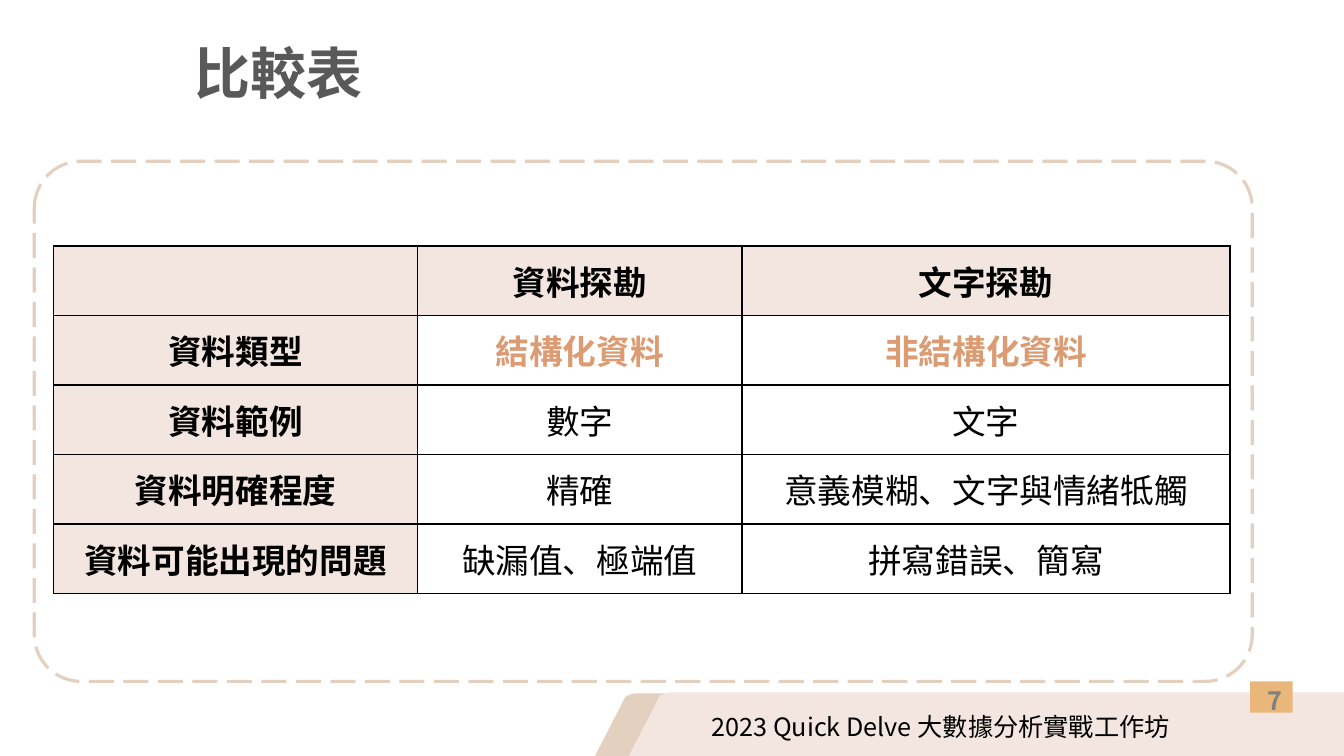
from lxml import etree
from pptx import Presentation
from pptx import util as u
from pptx.dml.color import RGBColor
from pptx.enum import dml, shapes, text
from pptx.oxml import ns

FONT = "Noto Sans CJK SC"
COLORS = {
    "sand": "E3D0BE", "blush": "F3E6E0", "amber": "E9B77A", "copper": "DB9C73",
    "gray": "808080", "charcoal": "595959", "black": "000000", "white": "FFFFFF",
}
COLUMN_WIDTHS = [3.61, 3.22, 4.84]
ROW_HEIGHT = 0.69
COMPARISON = [
    ["", "資料探勘", "文字探勘"],
    ["資料類型", "結構化資料", "非結構化資料"],
    ["資料範例", "數字", "文字"],
    ["資料明確程度", "精確", "意義模糊、文字與情緒牴觸"],
    ["資料可能出現的問題", "缺漏值、極端值", "拼寫錯誤、簡寫"],
]


def color(name):
    return RGBColor.from_string(COLORS[name])


def inches(lengths):
    return [u.Inches(length) for length in lengths]


def write(frame, words, size, ink="black", bold=False, align=None, spacing=None):
    paragraph = frame.paragraphs[0]
    paragraph.alignment = align
    paragraph.line_spacing = spacing
    run = paragraph.add_run()
    run.text = words
    run.font.size = u.Pt(size)
    run.font.bold = bold
    run.font.color.rgb = color(ink)
    run.font.name = FONT
    east_asian = etree.SubElement(run.font._element, ns.qn("a:ea"))
    east_asian.set("typeface", FONT)


def add_label(slide, box, words, size, wrap=True, grow=True, **style):
    frame = slide.shapes.add_textbox(*inches(box)).text_frame
    frame.word_wrap = wrap
    if grow:
        frame.auto_size = text.MSO_AUTO_SIZE.SHAPE_TO_FIT_TEXT
    else:
        frame.vertical_anchor = text.MSO_ANCHOR.MIDDLE
    write(frame, words, size, **style)


def add_block(slide, kind, box, fill=None, outline=None, adjustments=()):
    block = slide.shapes.add_shape(kind, *inches(box))
    block.shadow.inherit = False
    for index, value in enumerate(adjustments):
        block.adjustments[index] = value
    if fill:
        block.fill.solid()
        block.fill.fore_color.rgb = color(fill)
    else:
        block.fill.background()
    if outline:
        block.line.color.rgb = color(outline)
        block.line.width = u.Pt(2.25)
        block.line.dash_style = dml.MSO_LINE.LONG_DASH
    else:
        block.line.fill.background()


def add_footer_band(slide, fill, band, slant):
    kind = shapes.MSO_SHAPE
    add_block(slide, kind.ROUND_2_DIAG_RECTANGLE, band, fill, adjustments=(0.18, 0))
    add_block(slide, kind.ISOSCELES_TRIANGLE, slant, fill)


def add_borders(cell):
    properties = cell._tc.get_or_add_tcPr()
    for side in ("lnL", "lnR", "lnT", "lnB"):
        border = etree.SubElement(properties, ns.qn(f"a:{side}"), w=str(u.Pt(1)))
        fill = etree.SubElement(border, ns.qn("a:solidFill"))
        etree.SubElement(fill, ns.qn("a:srgbClr"), val=COLORS["black"])


def add_comparison(slide):
    rows, columns = len(COMPARISON), len(COLUMN_WIDTHS)
    box = inches([0.53, 2.44, sum(COLUMN_WIDTHS), ROW_HEIGHT * rows])
    table = slide.shapes.add_table(rows, columns, *box).table
    table.first_row = table.horz_banding = False
    for column, width in zip(table.columns, COLUMN_WIDTHS):
        column.width = u.Inches(width)
    for r, entries in enumerate(COMPARISON):
        table.rows[r].height = u.Inches(ROW_HEIGHT)
        for c, entry in enumerate(entries):
            cell = table.cell(r, c)
            heading = r == 0 or c == 0
            highlight = r == 1 and c > 0
            add_borders(cell)
            cell.fill.solid()
            cell.fill.fore_color.rgb = color("blush" if heading else "white")
            cell.vertical_anchor = text.MSO_ANCHOR.MIDDLE
            if entry:
                write(cell.text_frame, entry, 24, bold=heading or highlight,
                      ink="copper" if highlight else "black",
                      align=text.PP_ALIGN.CENTER)


def main():
    deck = Presentation()
    deck.slide_width, deck.slide_height = inches([13.33, 7.5])
    slide = deck.slides.add_slide(deck.slide_layouts[6])
    add_footer_band(slide, "sand", [6.17, 6.88, 7.23, 0.74], [5.83, 6.9, 0.76, 0.74])
    add_footer_band(slide, "blush", [6.51, 6.87, 7.12, 0.74], [6.17, 6.89, 0.76, 0.74])
    add_block(slide, shapes.MSO_SHAPE.RECTANGLE, [12.4, 6.76, 0.42, 0.31], "amber")
    add_label(slide, [12.3, 6.75, 0.69, 0.4], "7", 18, ink="gray", bold=True,
              align=text.PP_ALIGN.CENTER)
    add_block(slide, shapes.MSO_SHAPE.ROUNDED_RECTANGLE, [0.34, 1.6, 12.08, 5.16],
              outline="sand", adjustments=(0.09,))
    add_label(slide, [6.96, 7.01, 4.88, 0.4], "2023 Quick Delve 大數據分析實戰工作坊", 18,
              wrap=False)
    add_label(slide, [1.83, 0.03, 10.58, 1.45], "比較表", 40, grow=False,
              ink="charcoal", bold=True, spacing=0.9)
    add_comparison(slide)
    deck.save("out.pptx")


if __name__ == "__main__":
    main()
